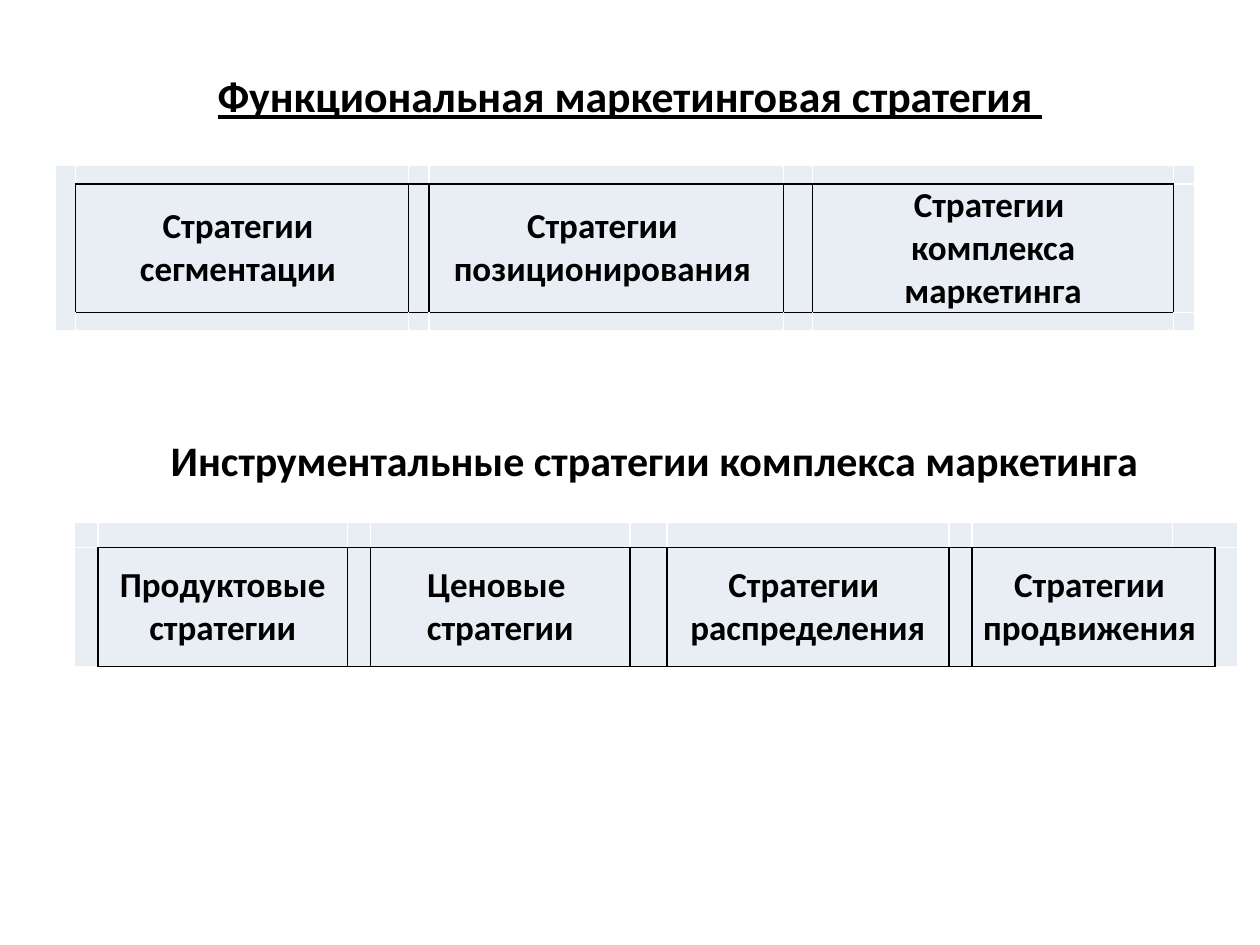
import dataclasses

import lxml.etree
import pptx
import pptx.dml.color
import pptx.enum.text
import pptx.oxml.ns
import pptx.util

Pt = pptx.util.Pt
CENTER = pptx.enum.text.PP_ALIGN.CENTER
MIDDLE = pptx.enum.text.MSO_ANCHOR.MIDDLE


@dataclasses.dataclass(frozen=True)
class Theme:
    font: str = "Calibri"
    ink: str = "000000"
    grid: str = "FFFFFF"
    cell: str = "E9EDF4"
    title_size: int = 25
    heading_size: int = 24
    cell_size: int = 20
    spacer_size: int = 6
    border: int = 1


THEME = Theme()


def color(value):
    return pptx.dml.color.RGBColor.from_string(value)


def add_span(para, text, *, size, bold=True, underline=None):
    span = para.add_run()
    span.text = text
    span.font.name = THEME.font
    span.font.size = Pt(size)
    span.font.bold = bold
    span.font.underline = underline
    span.font.color.rgb = color(THEME.ink)


def add_lines(frame, lines, *, size):
    for index, line in enumerate(lines):
        para = frame.add_paragraph() if index else frame.paragraphs[0]
        para.alignment = CENTER
        add_span(para, line, size=size)


def add_title(page, text, *, left, top, width, height):
    title = page.shapes.title
    title.left, title.top, title.width, title.height = map(Pt, (left, top, width, height))
    title.text_frame.vertical_anchor = MIDDLE
    para = title.text_frame.paragraphs[0]
    para.alignment = CENTER
    add_span(para, text, size=THEME.title_size, underline=True)
    add_span(para, " ", size=THEME.title_size, bold=False, underline=True)


def add_heading(page, text, *, left, top, width, height):
    box = page.shapes.add_textbox(*map(Pt, (left, top, width, height)))
    box.text_frame.word_wrap = True
    box.text_frame.auto_size = pptx.enum.text.MSO_AUTO_SIZE.SHAPE_TO_FIT_TEXT
    add_lines(box.text_frame, [text], size=THEME.heading_size)


def set_border(cell, side, value):
    qn = pptx.oxml.ns.qn
    line = lxml.etree.SubElement(cell._tc.get_or_add_tcPr(), qn(f"a:ln{side}"),
                                 w=str(Pt(THEME.border)))
    fill = lxml.etree.SubElement(line, qn("a:solidFill"))
    lxml.etree.SubElement(fill, qn("a:srgbClr"), val=value)


def shrink_empty(cell):
    para = cell.text_frame.paragraphs[0]
    lxml.etree.SubElement(para._p, pptx.oxml.ns.qn("a:endParaRPr"),
                          sz=str(THEME.spacer_size * 100))


def add_strategy_table(page, texts, *, left, top, columns, rows, framed, merges, inset):
    """Row 1 holds the boxes; the columns in framed get dark borders."""
    table = page.shapes.add_table(len(rows), len(columns), Pt(left), Pt(top),
                                  Pt(sum(columns)), Pt(sum(rows))).table
    table.first_row = table.horz_banding = False
    for column, width in zip(table.columns, columns):
        column.width = Pt(width)
    for row, height in zip(table.rows, rows):
        row.height = Pt(height)

    # An edge is dark when a framed cell lies on either side of it
    dark_cells = {(1, column) for column in framed}
    steps = {"L": (0, -1), "R": (0, 1), "T": (-1, 0), "B": (1, 0)}
    for r in range(len(rows)):
        for c in range(len(columns)):
            cell = table.cell(r, c)
            for side, (down, across) in steps.items():
                dark = dark_cells & {(r, c), (r + down, c + across)}
                set_border(cell, side, THEME.ink if dark else THEME.grid)
            cell.fill.solid()
            cell.fill.fore_color.rgb = color(THEME.cell)
            cell.margin_left = cell.margin_right = Pt(inset)
            cell.margin_top = cell.margin_bottom = 0
            cell.vertical_anchor = MIDDLE
            if r == 1 and c in texts:
                add_lines(cell.text_frame, texts[c], size=THEME.cell_size)
            else:
                shrink_empty(cell)

    for first, last in merges:
        table.cell(*first).merge(table.cell(*last))


def main():
    deck = pptx.Presentation()
    deck.slide_width, deck.slide_height = Pt(720), Pt(540)
    page = deck.slides.add_slide(deck.slide_layouts[0])
    subtitle = page.placeholders[1].element
    subtitle.getparent().remove(subtitle)

    # Functional strategy
    add_title(page, "Функциональная маркетинговая стратегия",
              left=54, top=32, width=612, height=45)
    add_strategy_table(
        page,
        {1: ["Стратегии ", "сегментации "],
         3: ["Стратегии ", "позиционирования "],
         5: ["Стратегии ", "комплекса маркетинга"]},
        left=31.3, top=94.7, columns=[11.2, 190.4, 10.8, 202.5, 16.6, 206.4, 10.8],
        rows=[10.4, 73.4, 10.4], framed=range(1, 6),
        merges=[((0, 0), (2, 0))], inset=4.5)

    # Strategies of the marketing mix
    add_heading(page, "Инструментальные стратегии комплекса маркетинга",
                left=82, top=245, width=584, height=36.5)
    add_strategy_table(
        page,
        {1: ["Продуктовые стратегии"],
         3: ["Ценовые ", "стратегии"],
         5: ["Стратегии ", "распределения"],
         7: ["Стратегии ", "продвижения "]},
        left=42.7, top=298.6,
        columns=[13.2, 142.8, 13.2, 148.2, 21, 161.2, 13.2, 114.5, 24.5, 13.2],
        rows=[14.2, 68.2], framed=range(1, 9),
        merges=[((0, 8), (0, 9)), ((1, 7), (1, 8))], inset=5)

    deck.save("out.pptx")


main()
